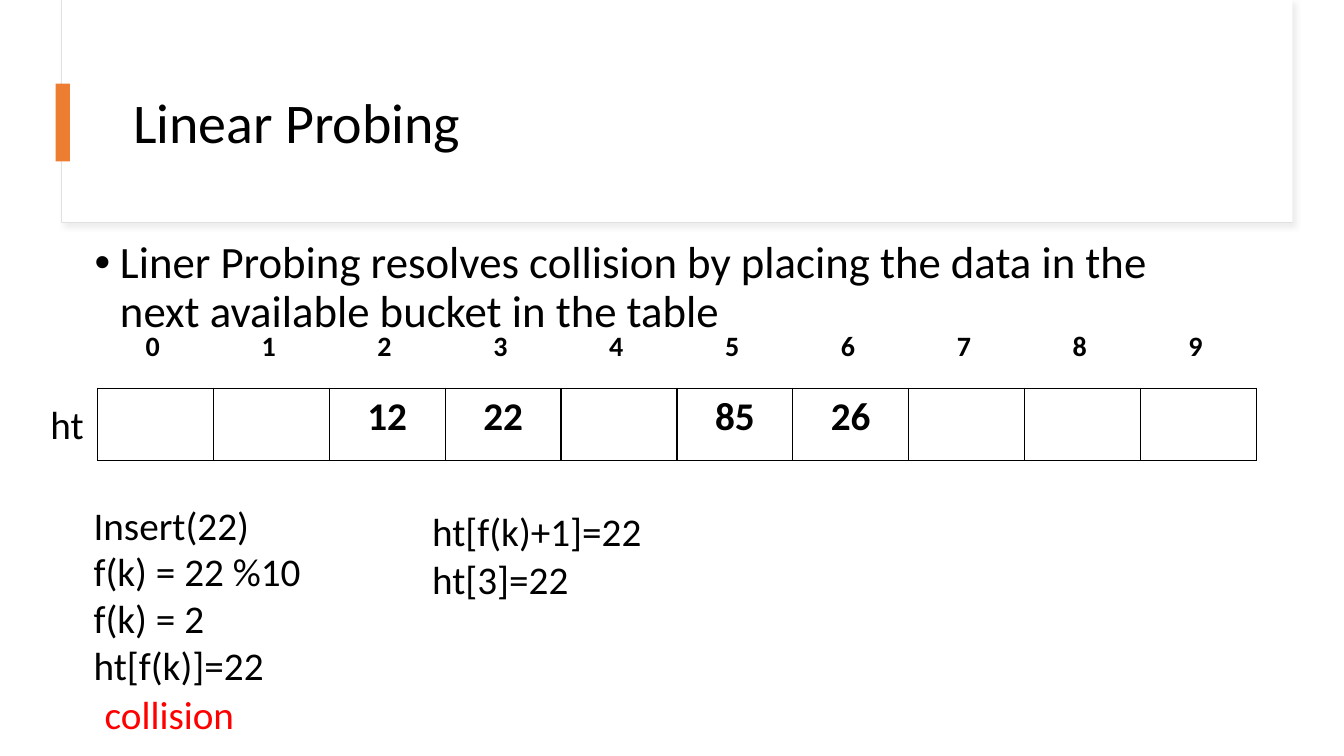
from pptx import Presentation
from pptx.dml.color import RGBColor
from pptx.enum.shapes import MSO_SHAPE as SHAPE
from pptx.enum.text import MSO_ANCHOR as ANCHOR, MSO_AUTO_SIZE as FIT, PP_ALIGN as ALIGN
from pptx.oxml import parse_xml
from pptx.oxml.ns import nsdecls
from pptx.util import Cm, Pt

THEME = {
    "font": "Calibri", "title": 40, "body": 32, "code": 28, "index": 20,
    "text": "000000", "paper": "FFFFFF", "edge": "E1E1E1", "shadow": "D9D9D9",
    "accent": "ED7D31", "alert": "FF0000",
}


def write(tf, lines, size, color="text", bold=False, **para):
    for i, line in enumerate(lines):
        p = tf.paragraphs[0] if i == 0 else tf.add_paragraph()
        for name, value in para.items():
            setattr(p, name, value)
        r = p.add_run()
        r.text = line
        fmt = {"name": THEME["font"], "size": Pt(THEME[size]), "bold": bold}
        for name, value in fmt.items():
            setattr(r.font, name, value)
        r.font.color.rgb = RGBColor.from_string(THEME[color])


def add_row(s, left, top, height, values, size, border):
    """Add a one-row table; border is the XML of the line fill."""
    n = len(values)
    table = s.shapes.add_table(1, n, Cm(left), Cm(top), Cm(2.92 * n), Cm(height)).table
    table.first_row = table.horz_banding = False
    table.rows[0].height = Cm(height)
    for column, cell, value in zip(table.columns, table.rows[0].cells, values):
        column.width = Cm(2.92)
        for side in ("lnL", "lnR", "lnT", "lnB"):
            cell._tc.get_or_add_tcPr().append(parse_xml(
                f'<a:{side} {nsdecls("a")} w="12700">{border}</a:{side}>'))
        cell.fill.background()
        if value:
            write(cell.text_frame, [value], size, bold=True, alignment=ALIGN.CENTER)


prs = Presentation()
prs.slide_width, prs.slide_height = Cm(33.87), Cm(19.05)
s = prs.slides.add_slide(prs.slide_layouts[1])
title, body = s.placeholders
tree = s.shapes._spTree

# Header card and accent bar, with the title between them
for box, fill, edge in (
    ((1.55, 0, 31.01, 5.61), "paper", "edge"),
    ((1.57, 0, 31, 5.59), "paper", None),
    ((1.4, 2.11, 0.36, 1.96), "accent", None),
):
    sp = s.shapes.add_shape(SHAPE.RECTANGLE, *map(Cm, box))
    sp.shadow.inherit = False
    sp.fill.solid()
    sp.fill.fore_color.rgb = RGBColor.from_string(THEME[fill])
    if edge:
        sp.line.color.rgb = RGBColor.from_string(THEME[edge])
        sp.line.width = Pt(0.75)
        sp._element.spPr.find("{*}effectLst").append(parse_xml(
            f'<a:outerShdw {nsdecls("a")} blurRad="50800" dist="38100" dir="2700000">'
            f'<a:srgbClr val="{THEME["shadow"]}"><a:alpha val="50000"/></a:srgbClr>'
            '</a:outerShdw>'))
    else:
        sp.line.fill.background()

# Title and bullet
for sp, box, anchor in (
    (title, (3.1, 1.52, 28.25, 3.28), ANCHOR.MIDDLE),
    (body, (2.13, 5.92, 29.21, 12.09), ANCHOR.TOP),
):
    sp.left, sp.top, sp.width, sp.height = map(Cm, box)
    sp.text_frame.auto_size = FIT.NONE
    sp.text_frame.vertical_anchor = anchor
    tree.append(sp._element)
write(title.text_frame, ["Linear Probing"], "title", alignment=ALIGN.LEFT, line_spacing=0.9)
write(body.text_frame,
      ["Liner Probing resolves collision by placing the data in the next available bucket in the table"],
      "body", line_spacing=0.9, space_before=Pt(10))
pPr = body.text_frame.paragraphs[0]._p.get_or_add_pPr()
pPr.set("marL", str(Cm(0.64)))
pPr.set("indent", str(-Cm(0.64)))

# Hash table with its bucket numbers
buckets = {2: "12", 3: "22", 5: "85", 6: "26"}
black = f'<a:solidFill><a:srgbClr val="{THEME["text"]}"/></a:solidFill>'
add_row(s, 2.46, 9.78, 1.83, [buckets.get(i, "") for i in range(10)], "code", black)
add_row(s, 2.39, 8.18, 1.12, [str(i) for i in range(10)], "index", "<a:noFill/>")

# Table label and insertion steps
for box, lines, color in (
    ((1.02, 9.96, 1.37, 1.45), ["ht"], "text"),
    ((2.11, 12.5, 4.47, 1.45), ["Insert(22)"], "text"),
    ((2.11, 13.67, 5.79, 5.05), ["f(k) = 22 %10", "f(k) = 2", "ht[f(k)]=22"], "text"),
    ((2.39, 17.27, 3.81, 1.45), ["collision"], "alert"),
    ((10.64, 12.67, 5.87, 2.64), ["ht[f(k)+1]=22", "ht[3]=22"], "text"),
):
    tf = s.shapes.add_textbox(*map(Cm, box)).text_frame
    tf.word_wrap = False
    write(tf, lines, "code", color)

prs.save("out.pptx")
